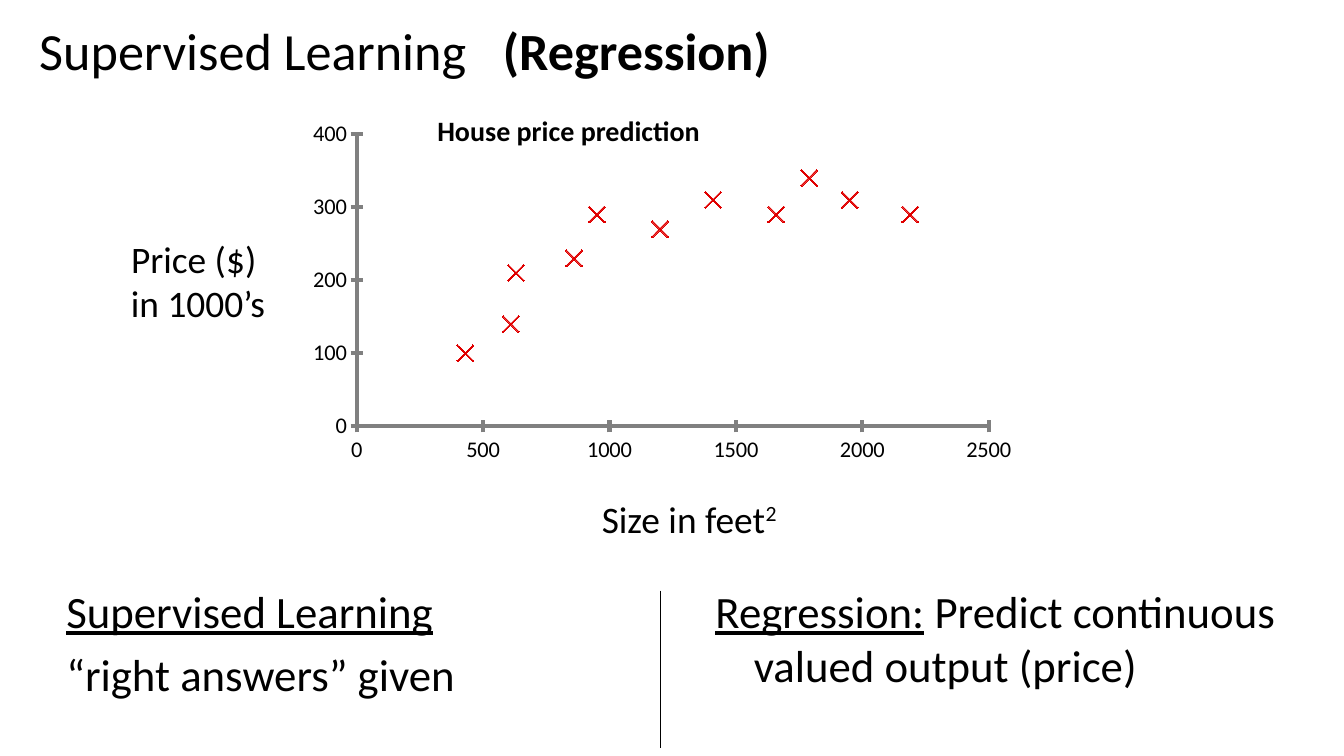
from dataclasses import dataclass

from lxml.etree import SubElement
from pptx import Presentation
from pptx.chart.data import XyChartData
from pptx.dml.color import RGBColor
from pptx.enum.chart import XL_CHART_TYPE, XL_MARKER_STYLE, XL_TICK_MARK
from pptx.enum.shapes import MSO_CONNECTOR
from pptx.enum.text import MSO_AUTO_SIZE, PP_ALIGN
from pptx.oxml.ns import qn
from pptx.util import Inches, Length, Pt


@dataclass(frozen=True)
class Theme:
    font: str = "Calibri"
    text: RGBColor = RGBColor(0, 0, 0)
    axis: RGBColor = RGBColor(0x80, 0x80, 0x80)
    marker: RGBColor = RGBColor(0xE0, 0, 0)
    title: float = 37.3
    body: float = 32
    label: float = 26.7
    heading: float = 20
    tick: float = 16


@dataclass(frozen=True)
class Area:
    left: float
    top: float
    width: float
    height: float


@dataclass(frozen=True)
class Run:
    text: str
    bold: bool = False
    underline: bool = False
    raised: bool = False


@dataclass(frozen=True)
class TextBlock:
    area: Area
    size: float
    paragraphs: tuple[tuple[Run, ...], ...]
    wrap: bool = True
    grow: bool = False
    align: PP_ALIGN = PP_ALIGN.LEFT
    hanging: float = 0
    tab: float = 0


THEME = Theme()
WIDTH, HEIGHT = Inches(13.333), Inches(7.5)
HANGING = 0.38

BLOCKS = (
    TextBlock(Area(2.18, 1.73, 90, 17.73), THEME.title,
              ((Run("Supervised Learning\t"), Run("(Regression)", bold=True)),),
              tab=4.6),
    TextBlock(Area(9, 30.53, 11.48, 13.33), THEME.label,
              ((Run("Price ($) "),), (Run("in 1000’s"),)),
              wrap=False, grow=True, align=PP_ALIGN.CENTER),
    TextBlock(Area(43.88, 64.93, 15.15, 7.33), THEME.label,
              ((Run("Size in feet"), Run("2 ", raised=True)),),
              wrap=False, grow=True, align=PP_ALIGN.CENTER),
    TextBlock(Area(52.5, 76.53, 45, 17.73), THEME.body,
              ((Run("Regression:", underline=True),
                Run(" Predict continuous valued output (price)")),),
              hanging=HANGING),
    TextBlock(Area(4.2, 76.53, 45, 17.73), THEME.body,
              ((Run("Supervised Learning", underline=True),),
               (Run("“right answers” given"),)),
              hanging=HANGING),
    TextBlock(Area(31.8, 14.4, 50, 5.87), THEME.heading,
              ((Run("House price prediction", bold=True),),), grow=True),
)

HOUSES = ((430, 100), (610, 140), (630, 210), (860, 230), (950, 290), (1200, 270),
          (1410, 310), (1660, 290), (1790, 340), (1950, 310), (2190, 290))
CHART_AREA = Area(18.3, 14.4, 60.6, 50.93)
PLOT_SHARES = {"x": 0.136, "y": 0.066, "w": 0.776, "h": 0.759}


def across(percent: float) -> Length:
    return Length(round(WIDTH * percent / 100))


def down(percent: float) -> Length:
    return Length(round(HEIGHT * percent / 100))


def place(area: Area) -> tuple[Length, Length, Length, Length]:
    return across(area.left), down(area.top), across(area.width), down(area.height)


def add_text(s, block: TextBlock) -> None:
    tf = s.shapes.add_textbox(*place(block.area)).text_frame
    tf.word_wrap = block.wrap
    tf.auto_size = MSO_AUTO_SIZE.SHAPE_TO_FIT_TEXT if block.grow else MSO_AUTO_SIZE.NONE
    for i, runs in enumerate(block.paragraphs):
        p = tf.add_paragraph() if i else tf.paragraphs[0]
        p.alignment = block.align
        pPr = p._p.get_or_add_pPr()
        if block.hanging:
            pPr.set("marL", str(Inches(block.hanging)))
            pPr.set("indent", str(-Inches(block.hanging)))
            if i:
                p.space_before = Pt(0.2 * block.size)
        if block.tab:
            tabs = SubElement(pPr, qn("a:tabLst"))
            SubElement(tabs, qn("a:tab"), pos=str(Inches(block.tab)), algn="l")
        for run in runs:
            r = p.add_run()
            r.text = run.text
            r.font.name = THEME.font
            r.font.size = Pt(block.size)
            r.font.color.rgb = THEME.text
            r.font.bold = run.bold
            r.font.underline = run.underline
            if run.raised:
                r._r.get_or_add_rPr().set("baseline", "30000")


def style_axis(axis, maximum: int, step: int) -> None:
    axis.minimum_scale, axis.maximum_scale, axis.major_unit = 0, maximum, step
    axis.has_major_gridlines = False
    axis.major_tick_mark = XL_TICK_MARK.CROSS
    axis.minor_tick_mark = XL_TICK_MARK.NONE
    axis.format.line.color.rgb = THEME.axis
    axis.format.line.width = Pt(3)
    labels = axis.tick_labels
    labels.number_format = "General"
    labels.number_format_is_linked = False
    labels.font.name = THEME.font
    labels.font.size = Pt(THEME.tick)
    labels.font.color.rgb = THEME.text


def fix_plot(chart) -> None:
    plot_area = chart._chartSpace.chart.plotArea
    for old in plot_area.findall(qn("c:layout")):
        plot_area.remove(old)
    layout = plot_area.makeelement(qn("c:layout"))
    plot_area.insert(0, layout)
    manual = SubElement(layout, qn("c:manualLayout"))
    SubElement(manual, qn("c:layoutTarget"), val="inner")
    for side in ("x", "y"):
        SubElement(manual, qn(f"c:{side}Mode"), val="edge")
    for side, share in PLOT_SHARES.items():
        SubElement(manual, qn(f"c:{side}"), val=str(share))


def add_price_chart(s) -> None:
    data = XyChartData()
    prices = data.add_series("Series 1")
    for size, price in HOUSES:
        prices.add_data_point(size, price)
    chart = s.shapes.add_chart(XL_CHART_TYPE.XY_SCATTER, *place(CHART_AREA), data).chart
    chart.has_legend = False
    chart.has_title = False
    chart.font.name = THEME.font
    chart.font.size = Pt(10)
    chart.font.color.rgb = THEME.text
    style_axis(chart.category_axis, 2500, 500)
    style_axis(chart.value_axis, 400, 100)
    fix_plot(chart)
    plot = chart.plots[0]
    plot.vary_by_categories = False
    series = plot.series[0]
    series.smooth = False
    series.format.line.fill.background()
    marker = series.marker
    marker.style = XL_MARKER_STYLE.X
    marker.size = 12
    marker.format.fill.solid()
    marker.format.fill.fore_color.rgb = THEME.marker
    marker.format.line.color.rgb = THEME.marker


def add_divider(s) -> None:
    x = across(49.13)
    line = s.shapes.add_connector(MSO_CONNECTOR.STRAIGHT, x, down(78.13), x, down(98.93))
    line.line.color.rgb = THEME.text
    line.line.width = Pt(0.75)
    SubElement(line._element.spPr, qn("a:effectLst"))


def main() -> None:
    prs = Presentation()
    prs.slide_width, prs.slide_height = WIDTH, HEIGHT
    s = prs.slides.add_slide(prs.slide_layouts[6])
    add_price_chart(s)
    for block in BLOCKS:
        add_text(s, block)
    add_divider(s)
    prs.save("out.pptx")


if __name__ == "__main__":
    main()
